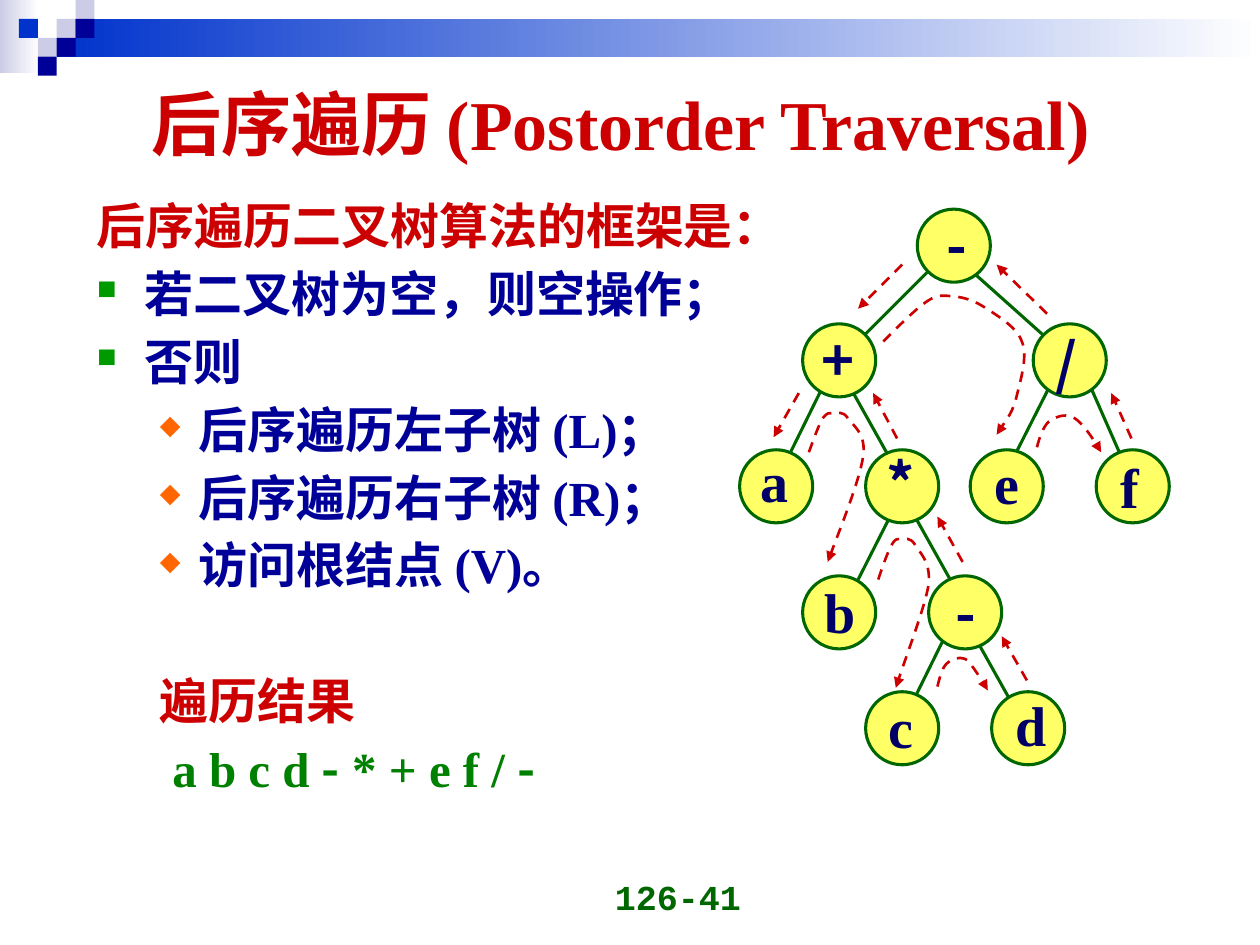
from lxml.etree import SubElement
from pptx import Presentation
from pptx.dml.color import RGBColor
from pptx.enum.dml import MSO_LINE
from pptx.enum.shapes import MSO_CONNECTOR, MSO_SHAPE
from pptx.enum.text import MSO_ANCHOR, PP_ALIGN
from pptx.oxml.ns import qn
from pptx.util import Inches, Pt

WHITE = RGBColor(0xFF, 0xFF, 0xFF)
LAVENDER = RGBColor(0xCC, 0xCC, 0xE6)
BLUE = RGBColor(0x00, 0x33, 0xCC)
NAVY = RGBColor(0x00, 0x00, 0x99)
DARK_NAVY = RGBColor(0x00, 0x00, 0x66)
RED = RGBColor(0xCC, 0x00, 0x00)
GREEN = RGBColor(0x00, 0x80, 0x00)
DARK_GREEN = RGBColor(0x00, 0x66, 0x00)
YELLOW = RGBColor(0xFF, 0xFF, 0x66)
SERIF, SANS, MONO, CJK = "Times New Roman", "Arial", "Courier New", "Noto Sans CJK SC"


def add_run(p, text, size, color, font):
    r = p.add_run()
    r.text = text
    r.font.size = Pt(size)
    r.font.bold = True
    r.font.name = font
    r.font.color.rgb = color
    SubElement(r.font._element, qn("a:ea"), typeface=CJK)


def style_arrow(sp):
    """Make a connector or curve a dashed red line with an arrowhead at its end."""
    sp.line.color.rgb = RED
    sp.line.width = Pt(1.5)
    sp.line.dash_style = MSO_LINE.DASH
    SubElement(sp.element.spPr.find(qn("a:ln")), qn("a:tailEnd"), type="triangle")


prs = Presentation()
prs.slide_width, prs.slide_height = Inches(10), Inches(7.5)
s = prs.slides.add_slide(prs.slide_layouts[6])

# Header band: two gradient bars and a mosaic of small squares
for x, y, w, h, color in [(0, 0, 0.31, 0.58, LAVENDER), (0.45, 0.15, 9.55, 0.3, BLUE)]:
    sp = s.shapes.add_shape(MSO_SHAPE.RECTANGLE, Inches(x), Inches(y), Inches(w), Inches(h))
    sp.shadow.inherit = False
    sp.line.fill.background()
    sp.fill.gradient()
    sp.fill.gradient_angle = 0
    for stop, stop_color in zip(sp.fill.gradient_stops, (color, WHITE)):
        stop.color.rgb = stop_color

SQUARE = 0.15
for col, row, color in [(3, 1, LAVENDER), (4, 0, LAVENDER), (4, 1, NAVY), (2, 2, LAVENDER),
                        (1, 1, BLUE), (3, 2, NAVY), (2, 3, NAVY)]:
    sp = s.shapes.add_shape(MSO_SHAPE.RECTANGLE, Inches(col * SQUARE), Inches(row * SQUARE),
                            Inches(SQUARE), Inches(SQUARE))
    sp.shadow.inherit = False
    sp.line.fill.background()
    sp.fill.solid()
    sp.fill.fore_color.rgb = color

# Title and page number
for x, y, w, h, text, size, color, font, align, anchor in [
    (0.87, 0.4, 8.11, 1.14, "后序遍历 (Postorder Traversal)", 40, RED, SERIF,
     PP_ALIGN.CENTER, MSO_ANCHOR.MIDDLE),
    (3.65, 6.83, 2.33, 0.5, "126-41", 20, DARK_GREEN, MONO,
     PP_ALIGN.RIGHT, MSO_ANCHOR.BOTTOM),
]:
    tf = s.shapes.add_textbox(Inches(x), Inches(y), Inches(w), Inches(h)).text_frame
    tf.word_wrap = True
    tf.vertical_anchor = anchor
    tf.paragraphs[0].alignment = align
    add_run(tf.paragraphs[0], text, size, color, font)

# Body: level, left margin, hanging indent, space before, bullet, runs
SQUARE_BULLET, DIAMOND_BULLET = ("■", "009900"), ("◆", "FF6600")
body = [
    (0, 0.38, 0.38, 0, None, [("后序遍历二叉树算法的框架是：", RED, SANS)]),
    (0, 0.38, 0.38, 3.5, SQUARE_BULLET, [("若二叉树为空，则空操作；", NAVY, SANS)]),
    (0, 0.38, 0.38, 3.5, SQUARE_BULLET, [("否则", NAVY, SANS)]),
    (1, 0.81, 0.31, 3.5, DIAMOND_BULLET, [("后序遍历左子树 (L)；", NAVY, SERIF)]),
    (1, 0.81, 0.31, 3.5, DIAMOND_BULLET, [("后序遍历右子树 (R)；", NAVY, SERIF)]),
    (1, 0.81, 0.31, 3.5, DIAMOND_BULLET, [("访问根结点 (V)。", NAVY, SERIF)]),
    (1, 0.81, 0.31, 42.5, None, [("遍历结果", RED, SERIF)]),
    (1, 0.91, 0.31, 3.5, None, [("a b c d ", GREEN, SERIF), ("-", GREEN, CJK),
                                (" * + e f / ", GREEN, SERIF), ("-", GREEN, CJK)]),
]
tf = s.shapes.add_textbox(Inches(0.67), Inches(1.48), Inches(6.17), Inches(5.5)).text_frame
tf.word_wrap = True
for i, (level, margin, hang, before, bullet, runs) in enumerate(body):
    p = tf.add_paragraph() if i else tf.paragraphs[0]
    p.level = level
    p.line_spacing = 1.05
    p.space_before = Pt(before)
    pPr = p._p.get_or_add_pPr()
    pPr.set("marL", str(Inches(margin)))
    pPr.set("indent", str(-Inches(hang)))
    if bullet:
        char, color = bullet
        SubElement(SubElement(pPr, qn("a:buClr")), qn("a:srgbClr"), val=color)
        SubElement(pPr, qn("a:buSzPct"), val="55000")
        SubElement(pPr, qn("a:buChar"), char=char)
    for text, color, font in runs:
        add_run(p, text, 28, color, font)

# Tree edges
for x1, y1, x2, y2 in [
    (7.7, 4.99, 8.12, 5.74), (8.62, 2.99, 8.95, 3.74), (6.7, 2.99, 7.12, 3.74),
    (7.2, 3.99, 7.62, 4.74), (8.37, 2.99, 8.03, 3.66), (7.53, 4.99, 7.2, 5.66),
    (7.12, 3.99, 6.78, 4.66), (6.53, 3.07, 6.2, 3.74), (7.62, 2.07, 8.37, 2.74),
    (7.45, 2.07, 6.78, 2.74),
]:
    edge = s.shapes.add_connector(MSO_CONNECTOR.STRAIGHT, Inches(x1), Inches(y1),
                                  Inches(x2), Inches(y2))
    edge.line.color.rgb = DARK_GREEN
    edge.line.width = Pt(1.75)
    SubElement(edge.element.spPr, qn("a:effectLst"))

# Tree nodes: circle position, label, label box position and width
NODE = 0.58
nodes = [
    (7.28, 1.66, "-", 7.36, 1.62, 0.47), (5.87, 3.57, "a", 5.94, 3.49, 0.42),
    (6.87, 3.57, "*", 6.94, 3.51, 0.42), (7.7, 3.57, "e", 7.79, 3.51, 0.4),
    (8.7, 3.57, "f", 8.79, 3.54, 0.35), (6.37, 2.57, "+", 6.42, 2.53, 0.47),
    (8.2, 2.57, "/", 8.23, 2.55, 0.47), (6.37, 4.57, "b", 6.44, 4.53, 0.45),
    (7.37, 4.57, "-", 7.43, 4.54, 0.47), (6.87, 5.49, "c", 6.95, 5.44, 0.4),
    (7.87, 5.49, "d", 7.96, 5.43, 0.45),
]
for x, y, label, label_x, label_y, label_w in nodes:
    sp = s.shapes.add_shape(MSO_SHAPE.OVAL, Inches(x), Inches(y), Inches(NODE), Inches(NODE))
    sp.shadow.inherit = False
    sp.fill.solid()
    sp.fill.fore_color.rgb = YELLOW
    sp.line.color.rgb = DARK_GREEN
    sp.line.width = Pt(1.75)
    tf = s.shapes.add_textbox(Inches(label_x), Inches(label_y),
                              Inches(label_w), Inches(0.64)).text_frame
    tf.word_wrap = False
    tf.vertical_anchor = MSO_ANCHOR.MIDDLE
    tf.paragraphs[0].alignment = PP_ALIGN.CENTER
    add_run(tf.paragraphs[0], label, 32, DARK_NAVY, SERIF if label.isalpha() else CJK)

# Straight steps of the traversal
for x1, y1, x2, y2 in [
    (7.16, 2.1, 6.81, 2.45), (6.34, 3.12, 6.14, 3.47), (8.98, 3.48, 8.82, 3.12),
    (8.31, 2.49, 7.91, 2.1), (8.15, 5.4, 7.95, 5.05), (7.64, 4.46, 7.44, 4.1),
    (7.12, 3.48, 6.93, 3.12),
]:
    step = s.shapes.add_connector(MSO_CONNECTOR.STRAIGHT, Inches(x1), Inches(y1),
                                  Inches(x2), Inches(y2))
    style_arrow(step)
    SubElement(step.element.spPr, qn("a:effectLst"))

# Curved steps: a start point, then three Bezier points per segment
curves = [
    [(6.42, 3.59), (6.46, 3.48), (6.5, 3.37), (6.53, 3.32), (6.57, 3.27), (6.58, 3.28),
     (6.61, 3.28), (6.65, 3.28), (6.69, 3.26), (6.73, 3.32), (6.77, 3.38), (6.88, 3.44),
     (6.85, 3.63), (6.82, 3.82), (6.62, 4.32), (6.57, 4.46)],
    [(6.97, 4.6), (7.01, 4.48), (7.05, 4.37), (7.08, 4.32), (7.11, 4.27), (7.12, 4.28),
     (7.15, 4.28), (7.18, 4.28), (7.22, 4.26), (7.26, 4.32), (7.29, 4.38), (7.39, 4.45),
     (7.37, 4.64), (7.34, 4.82), (7.15, 5.32), (7.11, 5.46)],
    [(7.44, 5.45), (7.46, 5.37), (7.48, 5.3), (7.51, 5.27), (7.55, 5.23), (7.61, 5.21),
     (7.66, 5.23), (7.7, 5.25), (7.77, 5.37), (7.8, 5.41), (7.83, 5.45), (7.83, 5.47),
     (7.84, 5.48)],
    [(8.23, 3.55), (8.25, 3.47), (8.28, 3.39), (8.32, 3.35), (8.37, 3.31), (8.45, 3.28),
     (8.51, 3.31), (8.57, 3.33), (8.66, 3.46), (8.69, 3.51), (8.73, 3.56), (8.73, 3.58),
     (8.74, 3.59)],
    [(7.01, 2.71), (7.14, 2.58), (7.27, 2.45), (7.36, 2.39), (7.45, 2.33), (7.49, 2.35),
     (7.56, 2.35), (7.63, 2.36), (7.7, 2.37), (7.8, 2.43), (7.89, 2.49), (8.07, 2.59),
     (8.11, 2.71), (8.16, 2.82), (8.1, 3.02), (8.07, 3.14), (8.04, 3.27), (7.94, 3.4),
     (7.91, 3.45)],
]
for curve in curves:
    start, *points = [(Inches(x), Inches(y)) for x, y in curve]
    builder = s.shapes.build_freeform(*start)
    builder.add_line_segments(points, close=False)
    sp = builder.convert_to_shape()
    sp.shadow.inherit = False
    sp.fill.background()
    style_arrow(sp)
    # Merge every three line segments into one cubic Bezier segment
    outline = sp.element.find(".//" + qn("a:path"))
    lines = outline.findall(qn("a:lnTo"))
    for i in range(0, len(lines), 3):
        bezier = SubElement(outline, qn("a:cubicBezTo"))
        for line in lines[i:i + 3]:
            bezier.append(line[0])
            outline.remove(line)

prs.save("out.pptx")
